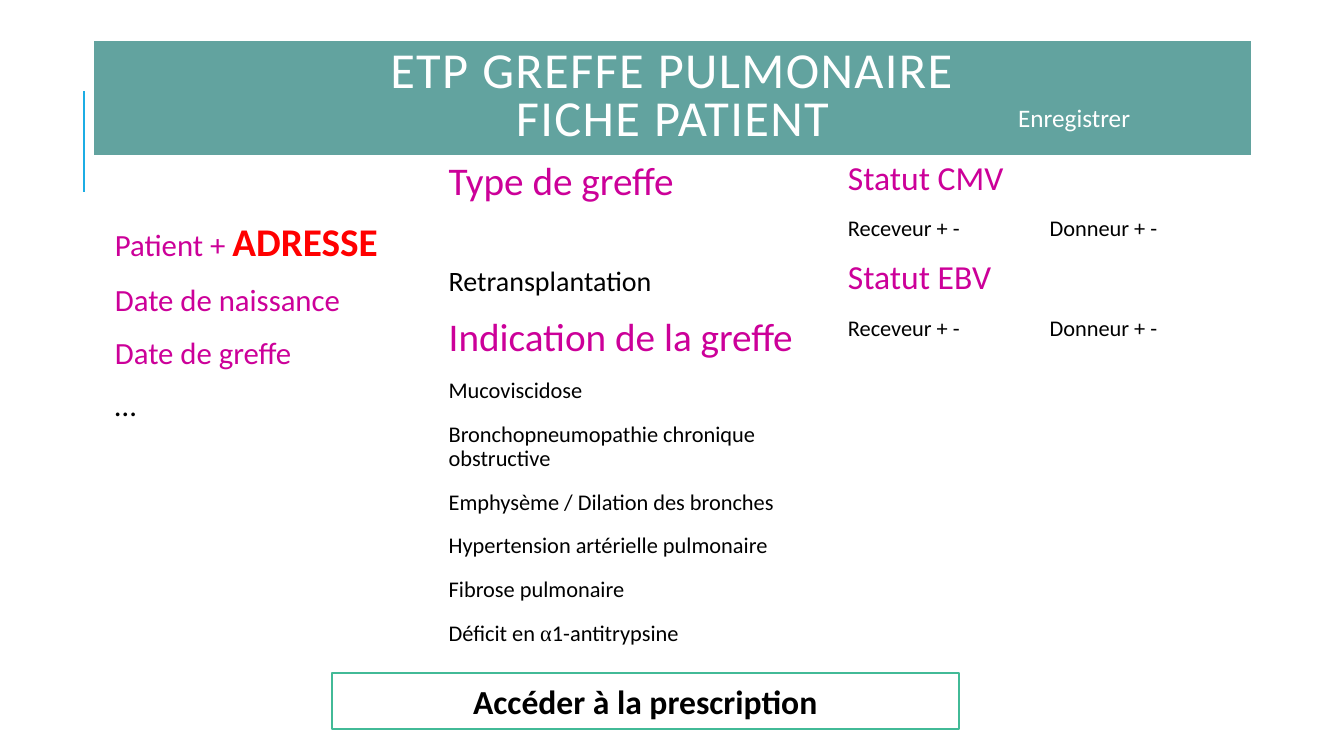
import pptx
import pptx.util
import pptx.dml.color
import pptx.enum.text
import pptx.enum.shapes
import pptx.oxml.ns
import lxml.etree

Inches = pptx.util.Inches
Pt = pptx.util.Pt
RGB = pptx.dml.color.RGBColor
Align = pptx.enum.text.PP_ALIGN
Anchor = pptx.enum.text.MSO_ANCHOR
qn = pptx.oxml.ns.qn

WHITE = RGB(0xFF, 0xFF, 0xFF)
BLACK = RGB(0, 0, 0)
TEAL = RGB(0x62, 0xA3, 0x9F)
GREEN = RGB(0x42, 0xBA, 0x97)
BLUE = RGB(0x1C, 0xAD, 0xE4)
PINK = RGB(0xCC, 0x00, 0x99)
RED = RGB(0xFF, 0, 0)


def add_run(par, text, size=16, color=BLACK, bold=False, font="Calibri", track=0):
    """Append text, breaking at newlines; track is the letter spacing in points."""
    for i, line in enumerate(text.split("\n")):
        if i:
            par.add_line_break()
        run = par.add_run()
        run.text = line
        run.font.size = Pt(size)
        run.font.name = font
        run.font.bold = bold
        run.font.color.rgb = color
        if track:
            run.font._element.set("spc", str(track * 100))


def add_box(slide, place, fill, line, width):
    box = slide.shapes.add_shape(
        pptx.enum.shapes.MSO_SHAPE.RECTANGLE, *map(Inches, place))
    box.shadow.inherit = False
    box.fill.solid()
    box.fill.fore_color.rgb = fill
    box.line.color.rgb = line
    box.line.width = Pt(width)
    frame = box.text_frame
    frame.word_wrap = True
    frame.vertical_anchor = Anchor.MIDDLE
    frame.paragraphs[0].alignment = Align.CENTER
    return frame


def add_text(slide, place, inset=None):
    frame = slide.shapes.add_textbox(*map(Inches, place)).text_frame
    frame.word_wrap = True
    if inset is not None:
        frame.margin_left = frame.margin_right = Inches(inset)
        frame.margin_top = frame.margin_bottom = Inches(inset)
    return frame


def add_list(frame, items, tab=2):
    """Write one paragraph per item; an item is a list of (text, format) runs."""
    for i, runs in enumerate(items):
        par = frame.add_paragraph() if i else frame.paragraphs[0]
        par.line_spacing = 0.9
        par.space_before = Pt(12)
        par.space_after = Pt(2)
        for text, style in runs:
            add_run(par, text, **style)
            if "\t" in text:
                stops = lxml.etree.SubElement(par._p.get_or_add_pPr(), qn("a:tabLst"))
                lxml.etree.SubElement(
                    stops, qn("a:tab"), pos=str(Inches(tab)), algn="l")


def add_rule(slide, x, top, end):
    rule = slide.shapes.add_connector(
        pptx.enum.shapes.MSO_CONNECTOR.STRAIGHT,
        Inches(x), Inches(end), Inches(x), Inches(top))
    rule.line.color.rgb = BLUE
    rule.line.width = Pt(1.5)
    lxml.etree.SubElement(rule._element.spPr, qn("a:effectLst"))


def main():
    deck = pptx.Presentation()
    deck.slide_width, deck.slide_height = Inches(13.33), Inches(7.5)
    slide = deck.slides.add_slide(deck.slide_layouts[6])

    add_rule(slide, 0.83, 0.9, 1.9)
    title = add_box(slide, (0.92, 0.4, 11.5, 1.15), TEAL, WHITE, 1.5).paragraphs[0]
    title.line_spacing = 0.8
    add_run(title, "ETP GREFFE PULMONAIRE\nFICHE PATIENT",
            size=36, color=WHITE, track=1)

    label = dict(size=22, color=PINK)
    add_list(add_text(slide, (1.09, 2.16, 3.51, 3.41), 0.05), [
        [("Patient + ", label), ("ADRESSE", dict(size=28, color=RED, bold=True))],
        [("Date de naissance", label)],
        [("Date de greffe", label)],
        [("…", dict(size=22))],
    ])

    head = dict(size=28, color=PINK)
    status = dict(size=24, color=PINK)
    signs = [("Receveur + -\tDonneur + -", {})]
    causes = ["Mucoviscidose", "Bronchopneumopathie chronique obstructive",
              "Emphysème / Dilation des bronches",
              "Hypertension artérielle pulmonaire", "Fibrose pulmonaire"]
    graft = add_text(slide, (4.4, 1.55, 8.02, 5.13), 0.05)
    graft._txBody.bodyPr.set("numCol", "2")
    add_list(graft, [
        [("Type de greffe", head)],
        [("Retransplantation", dict(size=20))],
        [("Indication de la greffe", head)],
        *[[(cause, {})] for cause in causes],
        [("Déficit en ", {}), ("α", dict(font="Times New Roman")),
         ("1-antitrypsine", {})],
        [("Statut CMV", status)], signs,
        [("Statut EBV", status)], signs,
    ])
    graft.paragraphs[1].space_before = Pt(43.6)

    button = add_box(slide, (3.29, 6.68, 6.22, 0.55), WHITE, GREEN, 1.25)
    add_run(button.paragraphs[0], "Accéder à la prescription", size=24, bold=True)
    save = add_text(slide, (10, 0.97, 2.68, 0.4))
    add_run(save.paragraphs[0], "Enregistrer", size=18, color=WHITE)

    deck.save("out.pptx")


if __name__ == "__main__":
    main()
